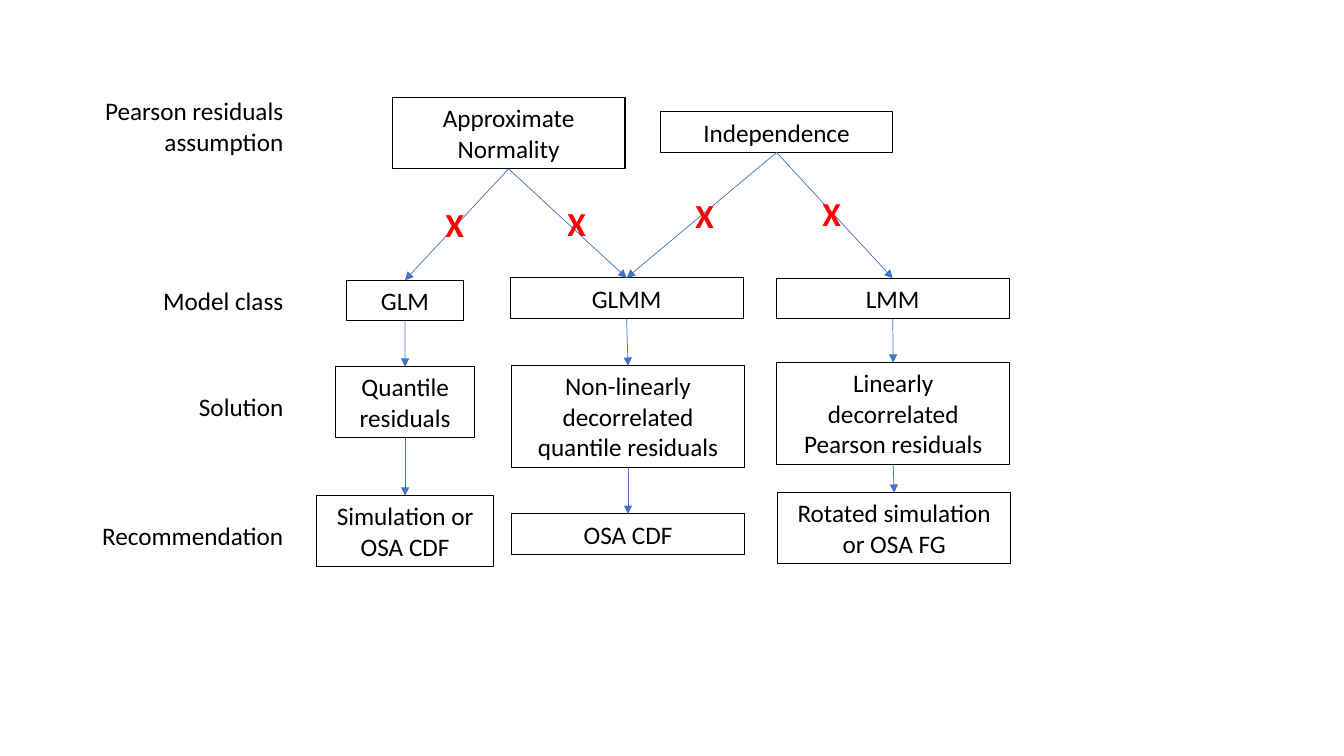
from lxml import etree
from pptx import Presentation
from pptx.dml.color import RGBColor
from pptx.enum.shapes import MSO_CONNECTOR, MSO_SHAPE
from pptx.enum.text import MSO_ANCHOR, MSO_AUTO_SIZE, PP_ALIGN
from pptx.oxml.ns import qn
from pptx.util import Pt

LEFT, MID, RIGHT = PP_ALIGN.LEFT, PP_ALIGN.CENTER, PP_ALIGN.RIGHT
TOP = MSO_ANCHOR.TOP
GROW = MSO_AUTO_SIZE.SHAPE_TO_FIT_TEXT
RECT, LINE = MSO_SHAPE.RECTANGLE, MSO_CONNECTOR.STRAIGHT
BLACK, BLUE, RED = "000000", "4472C4", "FF0000"
WIDE = 166.3
END = 209.5  # right edge of the row labels

# Row labels: text, top, width, line count
LABELS = [
    ("Pearson residuals assumption", 64.8, 211.7, 2),
    ("Model class", 200.2, 136, 1),
    ("Solution", 275.8, 136, 1),
    ("Recommendation", 367.9, 146.2, 1),
]

# Boxes: text, centre, top, width, line count
TESTS = [
    ("Approximate Normality", 363.3, 69.8, WIDE, 2),
    ("Independence", 554.7, 79.9, WIDE, 1),
]
CHAINS = [
    [("GLM", 289.3, 200.2, 84.2, 1),
     ("Quantile residuals", 289.4, 262, 99.4, 2),
     ("Simulation or OSA CDF", 289.4, 354.1, 126.7, 2)],
    [("GLMM", 447.6, 198.5, WIDE, 1),
     ("Non-linearly decorrelated quantile residuals", 448.6, 261.3, WIDE, 3),
     ("OSA CDF", 448.6, 367.1, WIDE, 1)],
    [("LMM", 637.7, 198.8, WIDE, 1),
     ("Linearly decorrelated Pearson residuals", 638, 259.1, WIDE, 3),
     ("Rotated simulation or OSA FG", 638.7, 352, WIDE, 2)],
]

# Broken assumptions: test, chain, left and top of the cross
BREAKS = [
    (0, 0, 311, 141.8),
    (0, 1, 398.2, 141.1),
    (1, 1, 489.6, 135.4),
    (1, 2, 580.3, 134.6),
]

deck = Presentation()
deck.slide_width, deck.slide_height = Pt(960), Pt(540)
slide = deck.slides.add_slide(deck.slide_layouts[6])
shapes = slide.shapes


def paint(code):
    return RGBColor.from_string(code)


def tall(count):
    return 7.2 + 21.8 * count


def write(shape, text, size=18, color=BLACK, bold=False, align=MID):
    frame = shape.text_frame
    frame.word_wrap = True
    frame.auto_size = GROW
    frame.vertical_anchor = TOP
    para = frame.paragraphs[0]
    para.alignment = align
    run = para.add_run()
    run.text = text
    font = run.font
    font.name, font.size, font.bold = "Calibri", Pt(size), bold
    font.color.rgb = paint(color)


def label(text, left, top, width, height, **form):
    area = shapes.add_textbox(Pt(left), Pt(top), Pt(width), Pt(height))
    write(area, text, **form)


def box(text, centre, top, width, count):
    shape = shapes.add_shape(RECT, Pt(centre - width / 2), Pt(top),
                             Pt(width), Pt(tall(count)))
    shape.shadow.inherit = False
    shape.fill.background()
    shape.line.color.rgb = paint(BLACK)
    shape.line.width = Pt(0.75)
    write(shape, text)
    return shape


def arrow(start, end):
    link = shapes.add_connector(LINE, 0, 0, 0, 0)
    link.begin_connect(start, 2)  # bottom side
    link.end_connect(end, 0)  # top side
    link.line.color.rgb = paint(BLUE)
    link.line.width = Pt(0.5)
    etree.SubElement(link.line._get_or_add_ln(), qn("a:tailEnd"),
                     type="triangle")
    etree.SubElement(link._element.spPr, qn("a:effectLst"))


# Row labels
for text, top, width, count in LABELS:
    label(text, END - width, top, width, tall(count), align=RIGHT)

# Boxes
tests = [box(*item) for item in TESTS]
chains = [[box(*item) for item in chain] for chain in CHAINS]

# Arrows down each chain
for chain in chains:
    for start, end in zip(chain, chain[1:]):
        arrow(start, end)

# Crossed arrows from the tests to the models
for test, chain, left, top in BREAKS:
    arrow(tests[test], chains[chain][0])
    label("X", left, top, 28.1, 36.3, size=24, color=RED, bold=True,
          align=LEFT)

deck.save("out.pptx")
